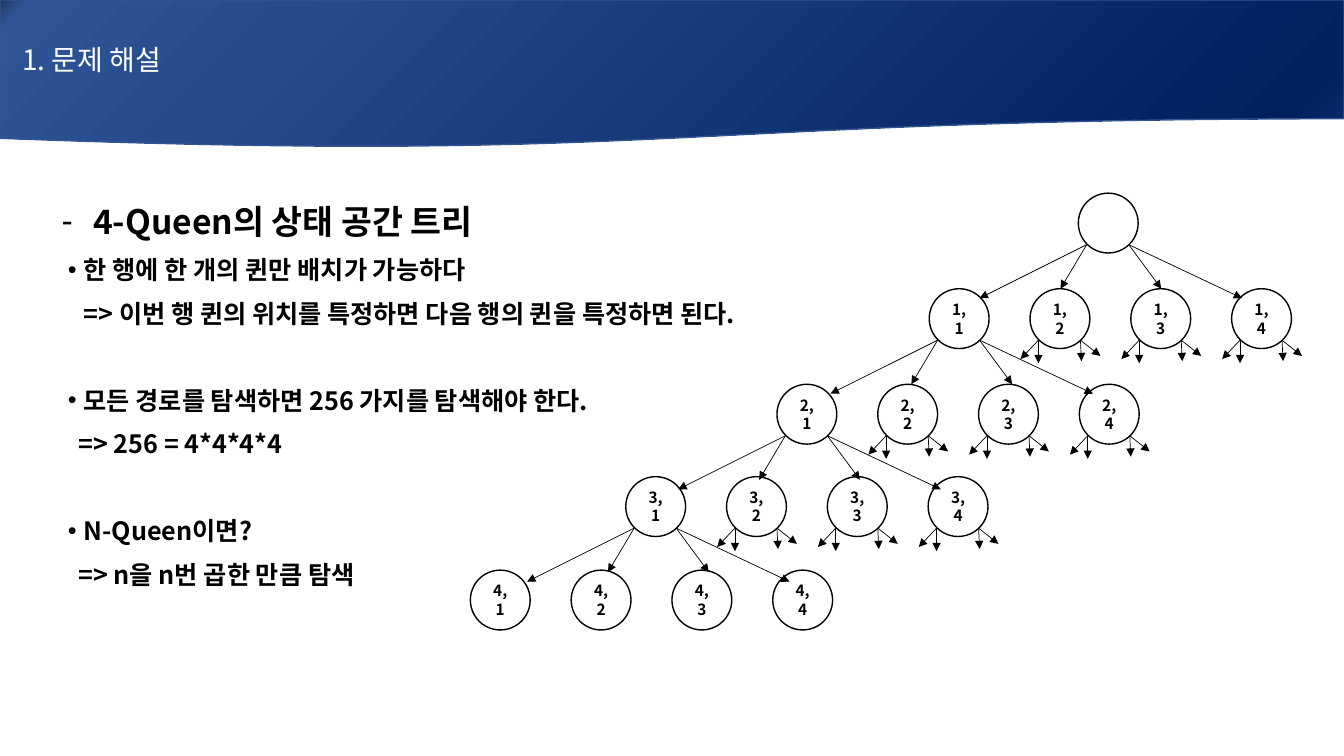
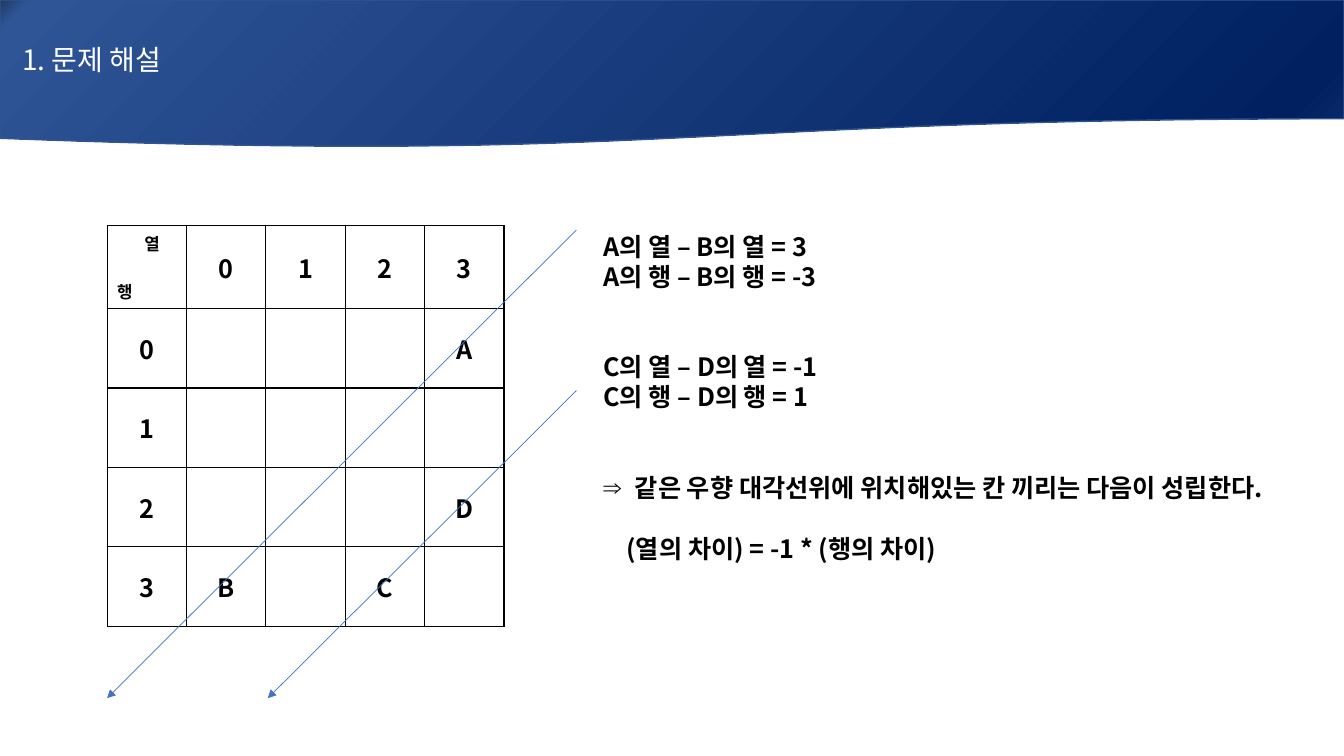
from lxml import etree
from pptx import Presentation
from pptx.dml.color import RGBColor
from pptx.enum.shapes import MSO_CONNECTOR, MSO_SHAPE
from pptx.enum.text import MSO_ANCHOR, MSO_AUTO_SIZE, PP_ALIGN
from pptx.oxml import parse_xml
from pptx.oxml.ns import nsdecls, qn
from pptx.util import Pt

PX = 9525  # EMU in one px, 96 px to the inch
SLIDE_WIDTH, SLIDE_HEIGHT = 1280, 720
FONT = "Noto Sans CJK KR"
COLORS = {
    "ink": "000000", "paper": "FFFFFF", "diagonal": "4472C4", "band_line": "325491",
    "band_start": "203864", "band_light": "2F5597", "band_dark": "002060", "band_end": "0D2E6F",
}
BAND_STOPS = [(0, "band_start"), (2, "band_light"), (94, "band_dark"), (100, "band_end")]
TITLE = {"size": Pt(20), "bold": False}
HEADING = {"size": Pt(24), "bold": True}
BODY = {"size": Pt(18), "bold": True}
SMALL = {"size": Pt(12), "bold": True}
NODE = {"size": Pt(11), "bold": True}

# Text lines: text, format, left margin, hanging indent, bullet, space before in points
TREE_NOTES = [
    ("4-Queen의 상태 공간 트리", HEADING, 30, -30, "-", 0),
    ("한 행에 한 개의 퀸만 배치가 가능하다", BODY, 21, -15, "•", 0),
    ("=> 이번 행 퀸의 위치를 특정하면 다음 행의 퀸을 특정하면 된다.", BODY, 21, 0, None, 0),
    ("모든 경로를 탐색하면 256 가지를 탐색해야 한다.", BODY, 21, -15, "•", 31),
    ("=> 256 = 4*4*4*4", BODY, 16, 0, None, 0),
    ("N-Queen이면?", BODY, 21, -15, "•", 31),
    ("=> n을 n번 곱한 만큼 탐색", BODY, 16, 0, None, 0),
]
DIAGONAL_NOTES = [
    ("A의 열 – B의 열 = 3", BODY, 0, 0, None, 0),
    ("A의 행 – B의 행 = -3", BODY, 0, 0, None, 0),
    ("C의 열 – D의 열 = -1", BODY, 0, 0, None, 43),
    ("C의 행 – D의 행 = 1", BODY, 0, 0, None, 0),
    ("같은 우향 대각선위에 위치해있는 칸 끼리는 다음이 성립한다.", BODY, 30, -30, "⇒", 43),
    ("(열의 차이) = -1 * (행의 차이)", BODY, 22, 0, None, 22),
]

# State space tree, offsets from its box
NODE_SIZE, NODE_STEP = 57, 96
ROOT = (579, 0)
LEVELS = [(437, 91), (292, 182), (148, 270), (0, 359)]
FAN_START, FAN_GAP = (8, 49), 40
BRANCH_FAN = [(-102, 51), (-25, 42), (31, 42), (108, 51)]
STUB_FAN = [(-17, 18), (0, 22), (1, 20), (19, 15)]

# Board, offsets from its box
BOARD_SIZE, HEADER_HEIGHT = 378, 79
QUEENS = {(1, 4): "A", (3, 4): "D", (4, 1): "B", (4, 3): "C"}
DIAGONALS = [((447, 4), (0, 450)), ((447, 157), (153, 450))]


def px(*lengths):
    return [round(length * PX) for length in lengths]


def rgb(name):
    return RGBColor.from_string(COLORS[name])


def set_attributes(target, values):
    for name, value in values.items():
        setattr(target, name, value)


def write(paragraph, text, font_format, color="ink"):
    run = paragraph.add_run()
    run.text = text
    set_attributes(run.font, {"name": FONT, **font_format})
    run.font.color.rgb = rgb(color)
    etree.SubElement(run.font._element, qn("a:ea"), typeface=FONT)


def set_indent(paragraph, margin, indent, bullet=None):
    properties = paragraph._p.get_or_add_pPr()
    for name, length in zip(("marL", "indent"), px(margin, indent)):
        properties.set(name, str(length))
    if bullet:
        etree.SubElement(properties, qn("a:buChar"), char=bullet)
    else:
        etree.SubElement(properties, qn("a:buNone"))


def place(shape, box):
    set_attributes(shape, dict(zip(("left", "top", "width", "height"), px(*box))))


def add_arrow(slide, start, end, color):
    connector = slide.shapes.add_connector(MSO_CONNECTOR.STRAIGHT, *px(*start, *end))
    connector.line.color.rgb = rgb(color)
    connector.line.width = Pt(0.5)
    etree.SubElement(connector.line._get_or_add_ln(), qn("a:tailEnd"), type="triangle")
    etree.SubElement(connector._element.spPr, qn("a:effectLst"))


def add_band(slide, box):
    band = slide.shapes.add_shape(MSO_SHAPE.FLOWCHART_DOCUMENT, *px(*box))
    band.shadow.inherit = False
    band.line.color.rgb = rgb("band_line")
    band.line.width = Pt(1)
    stops = "".join(
        f'<a:gs pos="{position * 1000}"><a:srgbClr val="{COLORS[name]}"/></a:gs>'
        for position, name in BAND_STOPS)
    band._element.spPr.find(qn("a:prstGeom")).addnext(parse_xml(
        f'<a:gradFill {nsdecls("a")} rotWithShape="1"><a:gsLst>{stops}</a:gsLst>'
        '<a:lin ang="2700000" scaled="1"/></a:gradFill>'))
    slide.shapes._spTree.insert(2, band._element)  # behind the title


def add_title(slide, text, box):
    title = slide.shapes.title
    place(title, box)
    frame = title.text_frame
    set_attributes(frame, {"auto_size": MSO_AUTO_SIZE.NONE, "margin_left": px(21)[0],
                           "vertical_anchor": MSO_ANCHOR.MIDDLE})
    frame.paragraphs[0].alignment = PP_ALIGN.LEFT
    write(frame.paragraphs[0], text, TITLE, "paper")


def add_notes(slide, lines, box, spacing):
    body = slide.placeholders[1]
    place(body, box)
    frame = body.text_frame
    set_attributes(frame, {"auto_size": MSO_AUTO_SIZE.NONE, "word_wrap": True,
                           "vertical_anchor": MSO_ANCHOR.TOP})
    for index, (text, font_format, margin, indent, bullet, before) in enumerate(lines):
        paragraph = frame.add_paragraph() if index else frame.paragraphs[0]
        set_indent(paragraph, margin, indent, bullet)
        set_attributes(paragraph, {"space_before": Pt(before), **spacing})
        write(paragraph, text, font_format)


def add_node(slide, left, top, text=""):
    node = slide.shapes.add_shape(MSO_SHAPE.OVAL, *px(left, top, NODE_SIZE, NODE_SIZE))
    node.shadow.inherit = False
    node.fill.solid()
    node.fill.fore_color.rgb = rgb("paper")
    node.line.color.rgb = rgb("ink")
    node.line.width = Pt(1)
    if text:
        node.text_frame.word_wrap = True
        paragraph = node.text_frame.paragraphs[0]
        paragraph.alignment = PP_ALIGN.CENTER
        write(paragraph, text, NODE)


def add_fan(slide, left, top, reaches):
    """Four arrows: two from the lower left of a node, two from its lower right."""
    for index, (across, down) in enumerate(reaches):
        x = left + FAN_START[0] + FAN_GAP * (index // 2)
        y = top + FAN_START[1]
        start_x = left + FAN_START[0]
        add_arrow(slide, (x, y), (start_x + across + FAN_GAP * (index // 2), y + down), "ink")


def add_tree(slide, left, top):
    fans = [(left + ROOT[0], top + ROOT[1], BRANCH_FAN)]
    add_node(slide, *fans[0][:2])
    for level, (level_left, level_top) in enumerate(LEVELS, 1):
        for column in range(4):
            x, y = left + level_left + column * NODE_STEP, top + level_top
            add_node(slide, x, y, f"{level},{column + 1}")
            if level < len(LEVELS):
                fans.append((x, y, STUB_FAN if column else BRANCH_FAN))
    for fan in fans:
        add_fan(slide, *fan)


def format_cell(cell):
    cell.fill.solid()
    cell.fill.fore_color.rgb = rgb("paper")
    properties = cell._tc.get_or_add_tcPr()
    for index, side in enumerate(("lnL", "lnR", "lnT", "lnB")):
        properties.insert(index, parse_xml(
            f'<a:{side} {nsdecls("a")} w="12700"><a:solidFill>'
            f'<a:srgbClr val="{COLORS["ink"]}"/></a:solidFill></a:{side}>'))


def add_board(slide, left, top):
    table = slide.shapes.add_table(5, 5, *px(left, top, BOARD_SIZE, BOARD_SIZE)).table
    set_attributes(table, {"first_row": False, "horz_banding": False})
    for index in range(5):
        table.columns[index].width = px(BOARD_SIZE / 5)[0]
        table.rows[index].height = px(BOARD_SIZE / 5 if index else HEADER_HEIGHT)[0]
    labels = {**QUEENS}
    for number in range(4):
        labels[0, number + 1] = labels[number + 1, 0] = str(number)
    for row in range(5):
        for column in range(5):
            cell = table.cell(row, column)
            format_cell(cell)
            if (row, column) in labels:
                cell.vertical_anchor = MSO_ANCHOR.MIDDLE
                paragraph = cell.text_frame.paragraphs[0]
                paragraph.alignment = PP_ALIGN.CENTER
                write(paragraph, labels[row, column], BODY)
    # Corner cell: column label above, row label below
    corner = table.cell(0, 0).text_frame
    set_indent(corner.paragraphs[0], 26, 0)
    write(corner.paragraphs[0], "열", SMALL)
    row_label = corner.add_paragraph()
    row_label.space_before = Pt(17)
    write(row_label, "행", SMALL)
    # Diagonals
    for ends in DIAGONALS:
        add_arrow(slide, *[(left + x, top + y) for x, y in ends], "diagonal")


def add_base_slide(presentation):
    slide = presentation.slides.add_slide(presentation.slide_layouts[1])
    add_band(slide, (0, 0, SLIDE_WIDTH, 141))
    add_title(slide, "1. 문제 해설", (0, 0, SLIDE_WIDTH, 113))
    return slide


def main():
    presentation = Presentation()
    set_attributes(presentation, dict(zip(("slide_width", "slide_height"),
                                          px(SLIDE_WIDTH, SLIDE_HEIGHT))))
    # State space tree
    slide = add_base_slide(presentation)
    add_notes(slide, TREE_NOTES, (49, 184, 1147, 384),
              {"line_spacing": 1.07, "space_after": Pt(8)})
    add_tree(slide, 448, 184)
    # Diagonal rule
    slide = add_base_slide(presentation)
    add_notes(slide, DIAGONAL_NOTES, (565, 215, 659, 417),
              {"line_spacing": 1.0, "space_after": Pt(0)})
    add_board(slide, 102, 215)
    presentation.save("out.pptx")


if __name__ == "__main__":
    main()
